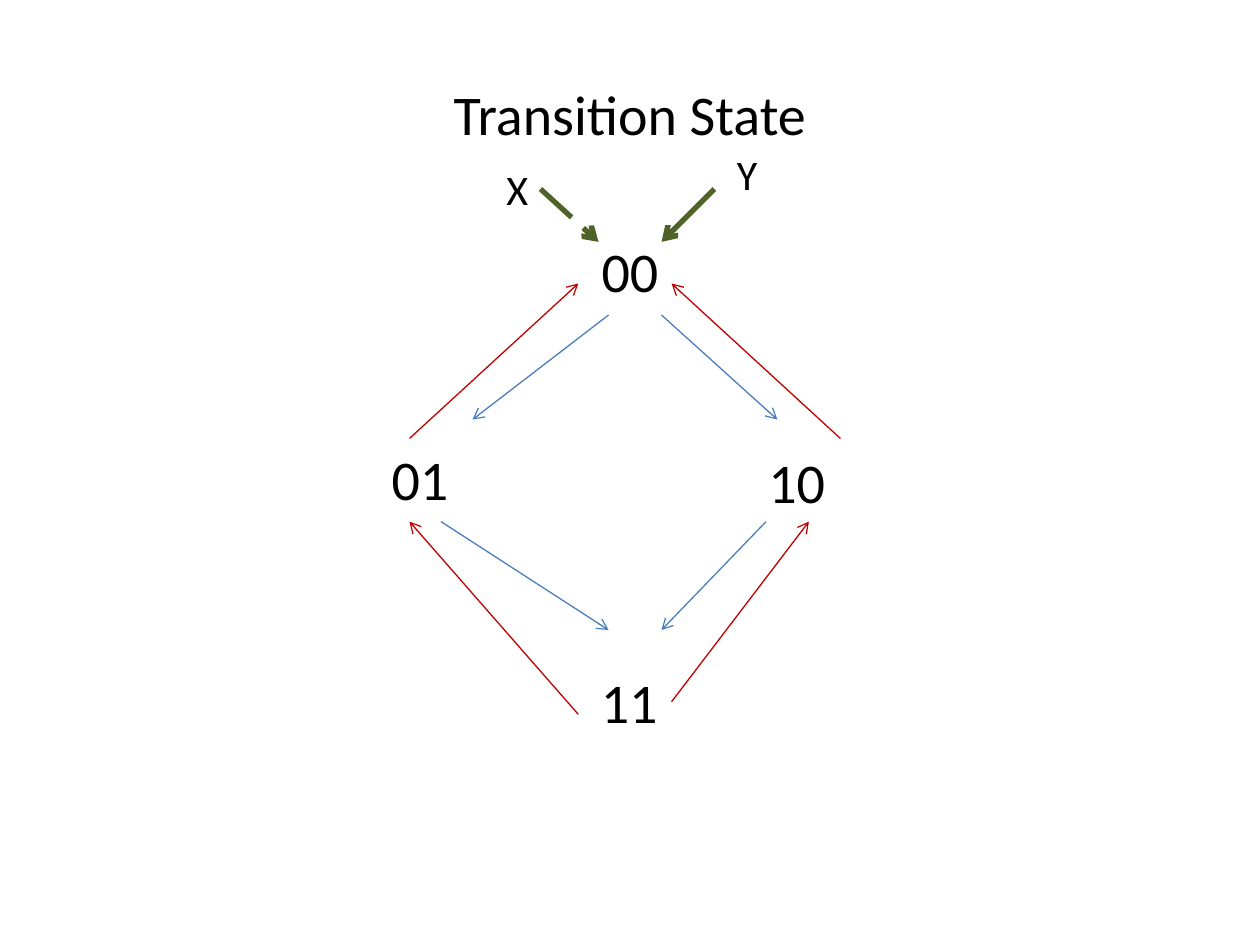
"""Build a state transition diagram slide for two binary inputs."""
import dataclasses
import typing

import lxml.etree
import pptx
import pptx.dml.color
import pptx.enum.dml
import pptx.enum.shapes
import pptx.enum.text
import pptx.oxml.ns
import pptx.slide
import pptx.util

Inches = pptx.util.Inches
Align = pptx.enum.text.PP_ALIGN
Dash = pptx.enum.dml.MSO_LINE


@dataclasses.dataclass(frozen=True)
class Theme:
    font: str = "Calibri"
    text: str = "000000"
    forward: str = "4B7EBC"
    back: str = "C00000"
    entry: str = "4F6228"
    state_size: int = 32
    input_size: int = 24
    thin: float = 0.75
    thick: float = 3


THEME = Theme()


class Label(typing.NamedTuple):
    text: str
    left: float
    top: float
    width: float
    height: float
    size: int = THEME.state_size


class Arrow(typing.NamedTuple):
    start: tuple[float, float]
    end: tuple[float, float]
    color: str
    width: float = THEME.thin
    dash: typing.Optional[Dash] = None


LABELS = [
    Label("01", 3.01, 3.48, 1.58, 0.64),
    Label("10", 6, 3.5, 1.58, 0.64),
    Label("11", 4.67, 5.25, 0.99, 0.64),
    Label("X", 3.92, 1.25, 0.83, 0.5, THEME.input_size),
    Label("Y", 5.75, 1.13, 0.83, 0.5, THEME.input_size),
]

ARROWS = [
    Arrow((4.83, 2.5), (3.75, 3.33), THEME.forward),
    Arrow((5.25, 2.5), (6.17, 3.33), THEME.forward),
    Arrow((3.5, 4.14), (4.83, 5), THEME.forward),
    Arrow((6.08, 4.14), (5.25, 5), THEME.forward),
    Arrow((5.33, 5.57), (6.42, 4.14), THEME.back),
    Arrow((4.59, 5.67), (3.25, 4.14), THEME.back),
    Arrow((3.25, 3.48), (4.59, 2.25), THEME.back),
    Arrow((6.67, 3.48), (5.33, 2.25), THEME.back),
    Arrow((4.29, 1.5), (4.75, 1.92), THEME.entry, THEME.thick, Dash.LONG_DASH),
    Arrow((5.67, 1.5), (5.25, 1.92), THEME.entry, THEME.thick),
]


def add_text(slide: pptx.slide.Slide, text: str, *, left: float, top: float,
             width: float, height: float, size: int,
             align: Align = Align.LEFT, gap: float = 0) -> None:
    shape = slide.shapes.add_textbox(
        Inches(left), Inches(top), Inches(width), Inches(height))
    frame = shape.text_frame
    frame.word_wrap = True
    frame.text = text
    for index, paragraph in enumerate(frame.paragraphs):
        paragraph.alignment = align
        if index:
            paragraph.space_before = pptx.util.Pt(gap)
        font = paragraph.runs[0].font
        font.name = THEME.font
        font.size = pptx.util.Pt(size)
        font.color.rgb = pptx.dml.color.RGBColor.from_string(THEME.text)


def add_arrow(slide: pptx.slide.Slide, arrow: Arrow) -> None:
    connector = slide.shapes.add_connector(
        pptx.enum.shapes.MSO_CONNECTOR.STRAIGHT,
        *map(Inches, arrow.start + arrow.end))
    line = connector.line
    line.color.rgb = pptx.dml.color.RGBColor.from_string(arrow.color)
    line.width = pptx.util.Pt(arrow.width)
    if arrow.dash is not None:
        line.dash_style = arrow.dash
    qualify = pptx.oxml.ns.qn
    properties = connector._element.spPr
    outline = properties.find(qualify("a:ln"))
    lxml.etree.SubElement(outline, qualify("a:tailEnd"), type="arrow")
    lxml.etree.SubElement(properties, qualify("a:effectLst"))


def main() -> None:
    presentation = pptx.Presentation()
    presentation.slide_width = Inches(10)
    presentation.slide_height = Inches(7.5)
    slide = presentation.slides.add_slide(presentation.slide_layouts[6])
    add_text(slide, "Transition State\n00", left=0.5, top=0.58, width=9,
             height=6.12, size=THEME.state_size, align=Align.CENTER, gap=51.5)
    for arrow in ARROWS:
        add_arrow(slide, arrow)
    for label in LABELS:
        add_text(slide, **label._asdict())
    presentation.save("out.pptx")


if __name__ == "__main__":
    main()
